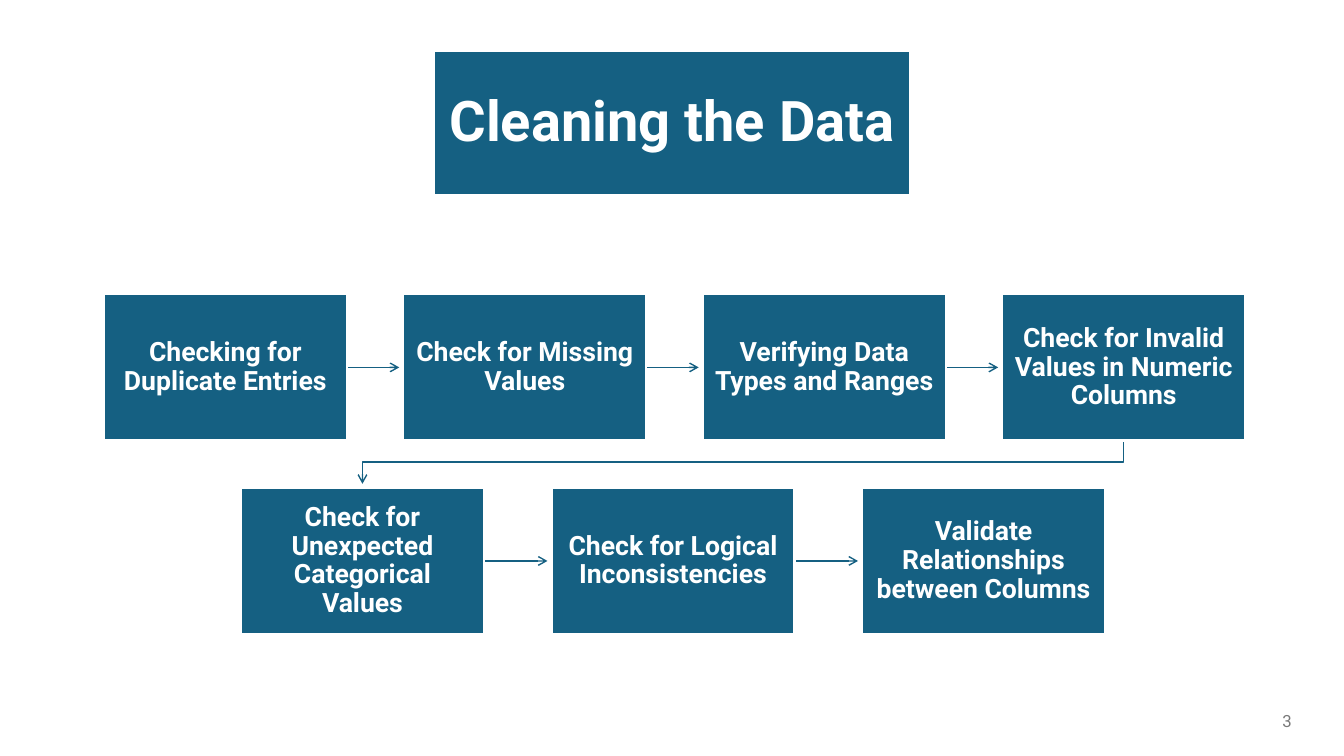
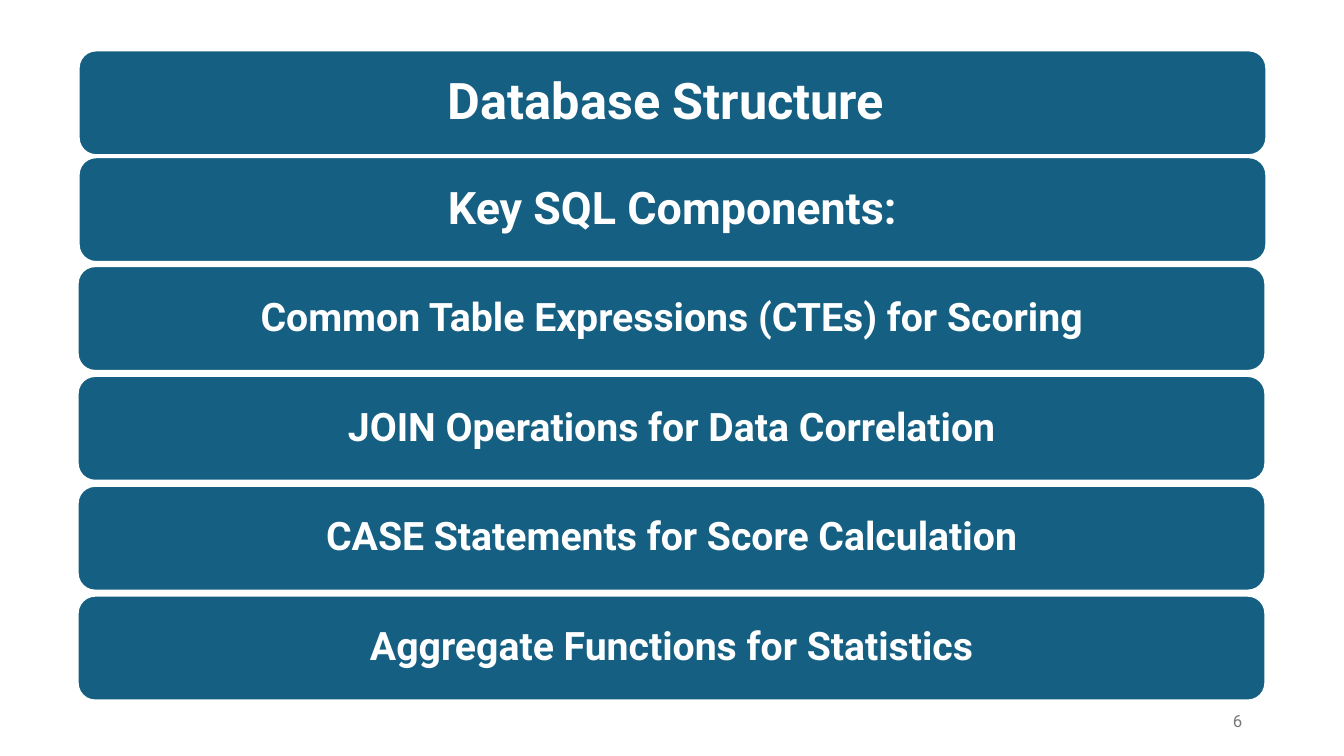
from lxml import etree
from pptx import Presentation
from pptx.dml.color import RGBColor
from pptx.enum import shapes, text
from pptx.oxml import ns
from pptx.util import Inches, Pt

COLORS = {"panel": "156082", "paper": "FFFFFF", "number": "797979"}
FONT = "Roboto"
STEP_WIDTH, STEP_HEIGHT = 2.41, 1.45
ARROW_GAP = 0.04
BAR_HEIGHT = 1.04


def color(name):
    return RGBColor.from_string(COLORS[name])


def write(frame, words, size, name, align, bold=False):
    frame.word_wrap = True
    frame.vertical_anchor = text.MSO_ANCHOR.MIDDLE
    para = frame.paragraphs[0]
    para.alignment = align
    span = para.add_run()
    span.text = words
    span.font.name = FONT
    span.font.size = Pt(size)
    span.font.bold = bold
    span.font.color.rgb = color(name)
    return para


def add_panel(page, box, words, size, margin, preset=shapes.MSO_SHAPE.RECTANGLE):
    panel = page.shapes.add_shape(preset, *map(Inches, box))
    panel.shadow.inherit = False
    panel.fill.solid()
    panel.fill.fore_color.rgb = color("panel")
    panel.line.color.rgb = color("paper")
    panel.line.width = Pt(1.5)
    frame = panel.text_frame
    frame.margin_left = frame.margin_right = Inches(margin)
    frame.margin_top = frame.margin_bottom = Inches(margin)
    para = write(frame, words, size, "paper", text.PP_ALIGN.CENTER, bold=True)
    para.line_spacing = 0.9


def add_page_number(page, right, number):
    box = page.shapes.add_textbox(Inches(right - 1), Inches(6.95), Inches(1), Inches(0.4))
    write(box.text_frame, number, 12, "number", text.PP_ALIGN.RIGHT)


def add_arrow(page, kind, start, end):
    arrow = page.shapes.add_connector(kind, *map(Inches, (*start, *end)))
    arrow.line.color.rgb = color("panel")
    arrow.line.width = Pt(1)
    etree.SubElement(arrow.line._get_or_add_ln(), ns.qn("a:tailEnd"), type="arrow")
    etree.SubElement(arrow._element.spPr, ns.qn("a:effectLst"))
    return arrow


def add_return_arrow(page, start, end):
    center_x, center_y = (start[0] + end[0]) / 2, (start[1] + end[1]) / 2
    half_drop, half_span = (end[1] - start[1]) / 2, (start[0] - end[0]) / 2
    arrow = add_arrow(
        page,
        shapes.MSO_CONNECTOR.ELBOW,
        (center_x - half_drop, center_y - half_span),
        (center_x + half_drop, center_y + half_span),
    )
    arrow._element.spPr.find(ns.qn("a:xfrm")).set("rot", "5400000")


def add_step_row(page, left, top, pitch, steps):
    middle = top + STEP_HEIGHT / 2
    for index, words in enumerate(steps):
        x = left + index * pitch
        if index < len(steps) - 1:
            add_arrow(
                page,
                shapes.MSO_CONNECTOR.STRAIGHT,
                (x + STEP_WIDTH, middle),
                (x + pitch - ARROW_GAP, middle),
            )
        add_panel(page, (x, top, STEP_WIDTH, STEP_HEIGHT), words, 19, 0.12)


def add_bars(page, left, top, pitch, size, labels):
    for index, words in enumerate(labels):
        box = (left, top + index * pitch, 11.78, BAR_HEIGHT)
        add_panel(page, box, words, size, 0.12, shapes.MSO_SHAPE.ROUNDED_RECTANGLE)


def build_cleaning(page):
    add_page_number(page, 12.91, "3")
    add_panel(page, (4.3, 0.51, 4.73, 1.43), "Cleaning the Data", 40, 0.1)
    first_left, first_top, first_pitch = 1.03, 2.92, 2.97
    second_left, second_top = 2.39, 4.84
    first_steps = (
        "Checking for Duplicate Entries",
        "Check for Missing Values",
        "Verifying Data Types and Ranges",
        "Check for Invalid Values in Numeric Columns",
    )
    second_steps = (
        "Check for Unexpected Categorical Values",
        "Check for Logical Inconsistencies",
        "Validate Relationships between Columns",
    )
    last_left = first_left + (len(first_steps) - 1) * first_pitch
    add_return_arrow(
        page,
        (last_left + STEP_WIDTH / 2, first_top + STEP_HEIGHT),
        (second_left + STEP_WIDTH / 2, second_top - ARROW_GAP),
    )
    add_step_row(page, first_left, first_top, first_pitch, first_steps)
    add_step_row(page, second_left, second_top, 3.08, second_steps)


def build_database(page):
    add_page_number(page, 12.42, "6")
    add_bars(page, 0.78, 0.5, 1.06, 36, ("Database Structure ",))
    add_bars(page, 0.78, 1.56, 1.06, 32, ("Key SQL Components:",))
    components = (
        "Common Table Expressions (CTEs) for Scoring",
        "JOIN Operations for Data Correlation",
        "CASE Statements for Score Calculation",
        "Aggregate Functions for Statistics",
    )
    add_bars(page, 0.77, 2.64, 1.09, 28, components)


def main():
    deck = Presentation()
    deck.slide_width, deck.slide_height = Inches(13.33), Inches(7.5)
    for build in (build_cleaning, build_database):
        build(deck.slides.add_slide(deck.slide_layouts[6]))
    deck.save("out.pptx")


if __name__ == "__main__":
    main()
